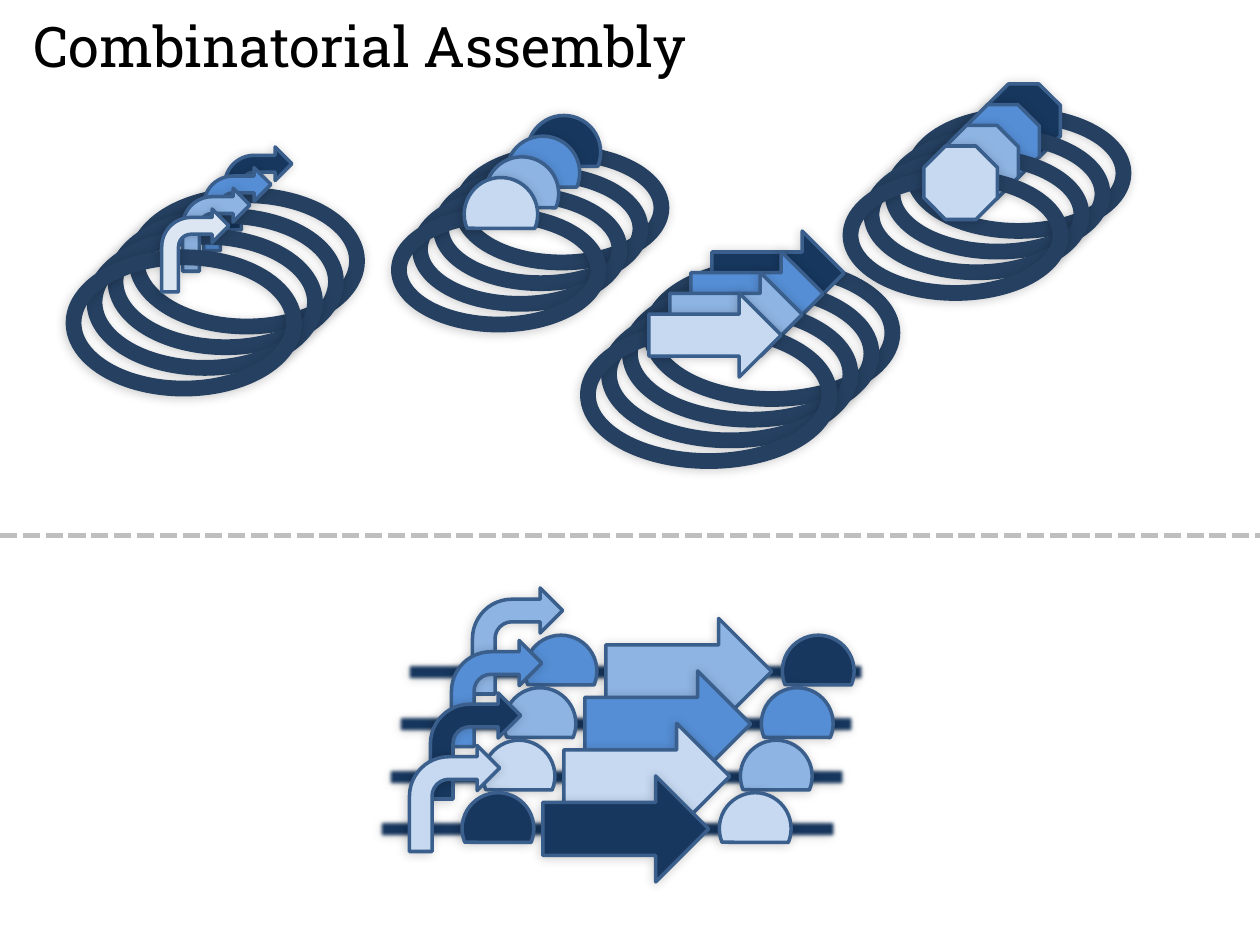
from lxml.etree import SubElement
from pptx import Presentation
from pptx.dml.color import RGBColor
from pptx.enum.dml import MSO_LINE
from pptx.enum.shapes import MSO_CONNECTOR, MSO_SHAPE
from pptx.enum.text import MSO_ANCHOR
from pptx.oxml.ns import qn
from pptx.util import Inches, Pt

TITLE = "Combinatorial Assembly"
DARK, MID, LIGHT, PALE, FAINT = "17375E", "558ED5", "8EB4E3", "C6D9F1", "DCE6F2"
RING, EDGE, GREY = "254061", "3A5F8C", "BFBFBF"
BENT, ARROW = MSO_SHAPE.BENT_ARROW, MSO_SHAPE.RIGHT_ARROW
DOME, STOP = MSO_SHAPE.CHORD, MSO_SHAPE.OCTAGON
SHADES = [DARK, MID, LIGHT, PALE]

# Boxes are left, top, width, height on a grid of 120 columns by 90 rows.
PLASMIDS = [
    ((13, 18.6, 21, 12.5), BENT, (21.4, 14, 6.4, 7.9), [DARK, MID, LIGHT, FAINT]),
    ((62, 25.4, 23, 12.6), ARROW, (67.8, 22, 12.6, 8), SHADES),
    ((87, 11, 20, 11), STOP, (94, 8, 7, 7), SHADES),
    ((44, 14.6, 19, 10.4), DOME, (50.2, 11, 7, 7), SHADES),
]
PARTS = [
    (BENT, (45, 56, 8.6, 10.1), [LIGHT, MID, DARK, PALE]),
    (ARROW, (57.7, 58.9, 15.8, 10.1), [LIGHT, MID, PALE, DARK]),
    (DOME, (50, 60.5, 6.84, 6.84), [MID, LIGHT, PALE, DARK]),
    (DOME, (74.5, 60.5, 6.84, 6.84), SHADES),
]
BAR = (38.6, 63, 43.8, 2)
STACK, ROW, SHIFT = (-2, 1.97), (-2, 5), (-0.88, 5)

deck = Presentation()
deck.slide_width, deck.slide_height = Inches(10), Inches(7.5)
slide = deck.slides.add_slide(deck.slide_layouts[6])
UNIT = deck.slide_width / 120


def color(code):
    return RGBColor.from_string(code)


def grid(*cells):
    return [round(cell * UNIT) for cell in cells]


def move(box, step, count):
    left, top, width, height = box
    return left + step[0] * count, top + step[1] * count, width, height


def effect(shape, soft=0):
    effects = SubElement(shape._element.spPr, qn("a:effectLst"))
    shadow = SubElement(effects, qn("a:outerShdw"), blurRad=str(Pt(6)),
                        dist=str(Pt(1)), dir=str(135 * 60000), rotWithShape="0")
    black = SubElement(shadow, qn("a:srgbClr"), val="000000")
    SubElement(black, qn("a:alpha"), val="20000")
    if soft:
        SubElement(effects, qn("a:softEdge"), rad=str(Pt(soft)))


def draw(kind, box, fill=None, line=None, width=2, soft=0):
    shape = slide.shapes.add_shape(kind, *grid(*box))
    if fill:
        shape.fill.solid()
        shape.fill.fore_color.rgb = color(fill)
    else:
        shape.fill.background()
    if line:
        shape.line.color.rgb = color(line)
        shape.line.width = Pt(width)
    else:
        shape.line.fill.background()
    if kind == DOME:
        shape.rotation = 112.7
    effect(shape, soft)


for row in range(4):
    draw(MSO_SHAPE.RECTANGLE, move(BAR, SHIFT, row), DARK, soft=2.5)

for layer in range(4):
    for ring, kind, box, fills in PLASMIDS:
        draw(MSO_SHAPE.OVAL, move(ring, STACK, layer), line=RING, width=9)
        draw(kind, move(box, STACK, layer), fills[layer], EDGE)

for row in range(4):
    for kind, box, fills in PARTS:
        draw(kind, move(box, ROW, row), fills[row], EDGE)

frame = slide.shapes.add_textbox(*grid(2, -1, 114, 10.5)).text_frame
frame.word_wrap = True
frame.vertical_anchor = MSO_ANCHOR.MIDDLE
run = frame.paragraphs[0].add_run()
run.text = TITLE
run.font.name = "Roboto Slab"
run.font.size = Pt(32)
run.font.color.rgb = color("000000")

split = slide.shapes.add_connector(MSO_CONNECTOR.STRAIGHT, *grid(0, 51, 120, 51))
split.line.color.rgb = color(GREY)
split.line.width = Pt(3.25)
split.line.dash_style = MSO_LINE.SQUARE_DOT
SubElement(split._element.spPr, qn("a:effectLst"))

deck.save("out.pptx")
